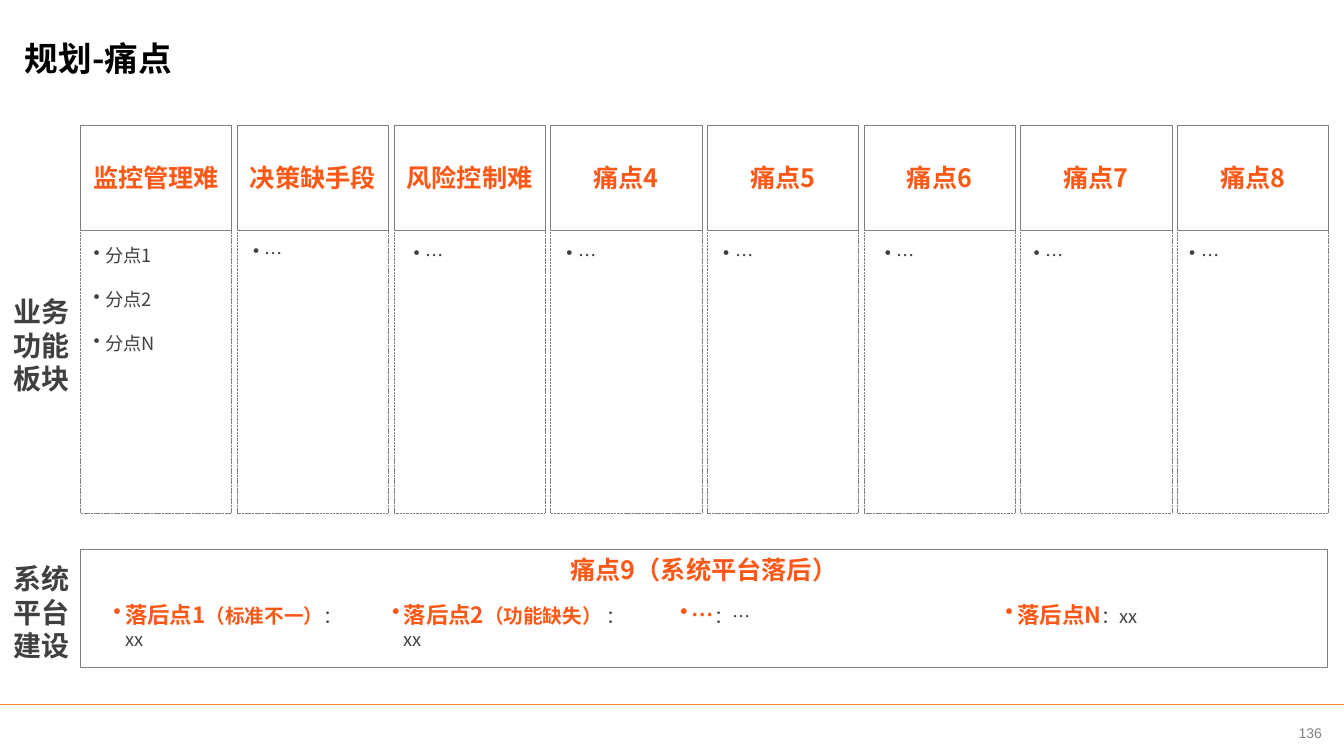
from dataclasses import dataclass

from lxml import etree
from pptx import Presentation
from pptx.dml.color import RGBColor as Rgb
from pptx.enum.dml import MSO_LINE as Dash
from pptx.enum.shapes import MSO_CONNECTOR as Conn, MSO_SHAPE as Kind
from pptx.enum.text import MSO_ANCHOR as Anchor, PP_ALIGN as Align
from pptx.oxml.ns import qn
from pptx.util import Cm, Pt


@dataclass(frozen=True)
class Theme:
    """Colours, fonts and type sizes of the slide."""
    accent: str = "FE5817"
    rule: str = "FE8637"
    body: str = "404040"
    edge: str = "808080"
    black: str = "000000"
    font: str = "Noto Sans CJK SC"
    plain: str = "Arial"
    title: int = 24
    label: int = 20
    head: int = 18
    lead: int = 16
    note: int = 14
    text: int = 13
    page: int = 10


THEME = Theme()
PAINS = [
    ("监控管理难", ["分点1", "分点2", "分点N"], 0.08, 0.23),
    ("决策缺手段", ["…"], 0.15, 0.18),
    ("风险控制难", ["…"], 0.25, 0.23),
    ("痛点4", ["…"], 0.15, 0.23),
    ("痛点5", ["…"], 0.15, 0.23),
    ("痛点6", ["…"], 0.28, 0.23),
    ("痛点7", ["…"], 0.08, 0.23),
    ("痛点8", ["…"], 0.05, 0.23),
]
LAGS = [
    (0.58, 5.87, "落后点1", "（标准不一）", "：xx"),
    (7.6, 6.12, "落后点2", "（功能缺失） ", "：xx"),
    (14.86, 7.06, "…", "", "：…"),
    (23.06, 7.98, "落后点N", "", "：xx"),
]


def add_run(para, words, size, color, bold=False, face=THEME.font):
    """Add one styled run to a paragraph."""
    run = para.add_run()
    run.text = words
    font = run.font
    font.size, font.bold, font.name = Pt(size), bold, face
    font.color.rgb = Rgb.from_string(color)
    east = etree.SubElement(font._element, qn("a:ea"))
    east.set("typeface", face)


def add_dot(para):
    """Give a paragraph a hanging bullet."""
    props = para._p.get_or_add_pPr()
    props.set("marL", str(Cm(0.3)))
    props.set("indent", str(-Cm(0.3)))
    etree.SubElement(props, qn("a:buChar")).set("char", "•")


def set_frame(shape, anchor, side=0.25, edge=0.13):
    """Set wrap, anchor and insets, and return the text frame."""
    frame = shape.text_frame
    frame.word_wrap = True
    frame.vertical_anchor = anchor
    frame.margin_left = frame.margin_right = Cm(side)
    frame.margin_top = frame.margin_bottom = Cm(edge)
    return frame


def add_text(slide, box, anchor=Anchor.TOP, **inset):
    """Add a wrapping text box and return its frame."""
    shape = slide.shapes.add_textbox(*map(Cm, box))
    return set_frame(shape, anchor, **inset)


def add_box(slide, box, dash=None):
    """Add an unfilled box with a thin grey edge."""
    shape = slide.shapes.add_shape(Kind.RECTANGLE, *map(Cm, box))
    shape.shadow.inherit = False
    shape.fill.background()
    shape.line.color.rgb = Rgb.from_string(THEME.edge)
    shape.line.width = Pt(0.25)
    if dash:
        shape.line.dash_style = dash
    return shape


def add_head(shape, words, anchor):
    """Write a centred orange heading in a box."""
    para = set_frame(shape, anchor, side=0.3).paragraphs[0]
    para.alignment = Align.CENTER
    add_run(para, words, THEME.head, THEME.accent, True)


def add_label(slide, box, lines):
    """Write a row label beside a region."""
    frame = add_text(slide, box)
    for i, words in enumerate(lines):
        para = frame.add_paragraph() if i else frame.paragraphs[0]
        para.alignment = Align.CENTER
        add_run(para, words, THEME.label, THEME.body, True)


def add_pain(slide, box, head, items, dx, dy):
    """Draw one pain point: heading cell above a dashed list cell."""
    left, top, wide, high = box
    cap = 2.65
    add_box(slide, (left, top + cap, wide, high - cap), Dash.SQUARE_DOT)
    add_head(add_box(slide, (left, top, wide, cap)), head, Anchor.MIDDLE)
    frame = add_text(slide, (left + dx, top + cap + dy, wide, 5.2))
    for i, words in enumerate(items):
        para = frame.add_paragraph() if i else frame.paragraphs[0]
        add_dot(para)
        if i:
            para.space_before = Pt(15.6)
        add_run(para, words, THEME.text, THEME.body)


def add_grid(slide, box):
    """Spread the pain points evenly over the box."""
    left, top, wide, high = box
    cell = 3.81
    step = (wide - cell) / (len(PAINS) - 1)
    for i, pain in enumerate(PAINS):
        add_pain(slide, (left + i * step, top, cell, high), *pain)


def add_panel(slide, box):
    """Draw the system platform panel with its points."""
    left, top = box[:2]
    add_head(add_box(slide, box), "痛点9（系统平台落后）", Anchor.TOP)
    for dx, wide, lead, note, rest in LAGS:
        frame = add_text(slide, (left + dx, top + 1.17, wide, 0.86))
        para = frame.paragraphs[0]
        add_dot(para)
        add_run(para, lead, THEME.lead, THEME.accent, True)
        if note:
            add_run(para, note, THEME.note, THEME.accent, True)
        add_run(para, rest, THEME.text, THEME.body)


def add_title(slide, box):
    """Write the slide title."""
    frame = add_text(slide, box, Anchor.MIDDLE, side=0, edge=0)
    add_run(frame.paragraphs[0], "规划-痛点", THEME.title, THEME.black, True)


def add_foot(slide, box):
    """Draw the footer rule and the page number at its right."""
    left, top, wide, high = box
    ends = map(Cm, (left, top, left + wide, top))
    line = slide.shapes.add_connector(Conn.STRAIGHT, *ends)
    line.line.color.rgb = Rgb.from_string(THEME.rule)
    line.line.width = Pt(1)
    etree.SubElement(line._element.spPr, qn("a:effectLst"))
    spot = (left + wide - 1.7, top + 0.13, 1.7, high - 0.13)
    para = add_text(slide, spot, Anchor.MIDDLE, side=0, edge=0).paragraphs[0]
    para.alignment = Align.CENTER
    add_run(para, "136", THEME.page, THEME.edge, face=THEME.plain)


def main():
    """Build and save the slide."""
    deck = Presentation()
    deck.slide_width, deck.slide_height = Cm(33.87), Cm(19.05)
    slide = deck.slides.add_slide(deck.slide_layouts[6])
    add_foot(slide, (0, 17.75, 33.87, 1.3))
    add_title(slide, (0.63, 0.46, 30.38, 2))
    add_label(slide, (-0.08, 7.29, 2.26, 2.82), ["业务", "功能", "板块"])
    add_grid(slide, (2.03, 3.15, 31.45, 9.78))
    add_label(slide, (-0.08, 14.02, 2.26, 2.82), ["系统", "平台建设"])
    add_panel(slide, (2.03, 13.85, 31.42, 2.97))
    deck.save("out.pptx")


if __name__ == "__main__":
    main()
